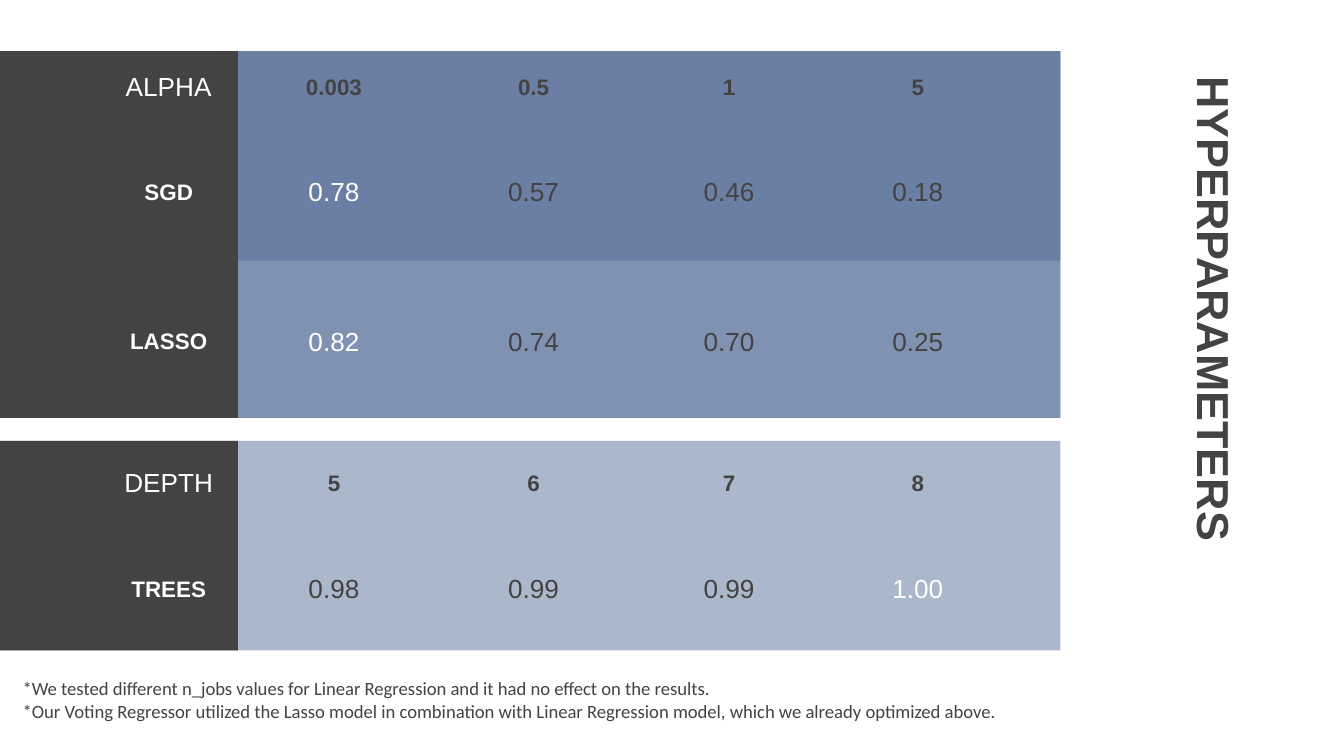
import dataclasses

import lxml.etree
import pptx
import pptx.dml.color
import pptx.enum.shapes
import pptx.enum.text
import pptx.oxml.ns
import pptx.util

SCALE = 4572  # EMU in one px, 200 px to the inch
PLAIN = "{2D5ABB26-0587-4C30-8999-92F81FD0307C}"  # table style: no fill, no grid


@dataclasses.dataclass(frozen=True)
class Theme:
    dark: str = "434343"
    light: str = "FFFFFF"
    blue: str = "556D96"
    alpha: int = 49
    font: str = "Arial"
    small: str = "Calibri"
    title: int = 24
    value: int = 14
    label: int = 12
    note: int = 10
    inset: int = 20


THEME = Theme()
COLS = (186, 306, 288, 294, 268)
HEAD, BODY = 92, 222
SIDE = 354


def px(*nums):
    return [pptx.util.Emu(num * SCALE) for num in nums]


def style(para, size, color, bold=False, font=THEME.font):
    for run in para.runs:
        run.font.size = pptx.util.Pt(size)
        run.font.color.rgb = pptx.dml.color.RGBColor.from_string(color)
        run.font.bold = bold
        run.font.name = font


def pad(item):
    """Give a text frame or a cell the same inset on all sides."""
    inset = px(THEME.inset)[0]
    item.margin_left = item.margin_right = inset
    item.margin_top = item.margin_bottom = inset


def block(slide, box, color, alpha=None):
    shape = slide.shapes.add_shape(pptx.enum.shapes.MSO_SHAPE.RECTANGLE, *px(*box))
    shape.shadow.inherit = False
    shape.line.fill.background()
    shape.fill.solid()
    shape.fill.fore_color.rgb = pptx.dml.color.RGBColor.from_string(color)
    if alpha is not None:
        tag = pptx.oxml.ns.qn("a:srgbClr")
        node = next(shape.fill._xPr.iter(tag))
        lxml.etree.SubElement(node, pptx.oxml.ns.qn("a:alpha"), val=str(alpha * 1000))


def panel(slide, box, bands):
    """Stack see-through bands of the given heights behind a dark side bar."""
    left, top, width, height = box
    for band in bands:
        block(slide, (left, top, width, band), THEME.blue, THEME.alpha)
    block(slide, (left, top, SIDE, height), THEME.dark)


def grid(slide, spot, rows, best):
    """Draw a clear table; the scores in column best stand out in white."""
    highs = [HEAD] + [BODY] * (len(rows) - 1)
    frame = slide.shapes.add_table(
        len(rows), len(COLS), *px(*spot, sum(COLS), sum(highs)))
    table = frame.table
    table.first_row = table.horz_banding = False
    table._tbl.tblPr.find(pptx.oxml.ns.qn("a:tableStyleId")).text = PLAIN
    for col, wide in zip(table.columns, px(*COLS)):
        col.width = wide
    for row, high in zip(table.rows, px(*highs)):
        row.height = high
    for i, row in enumerate(rows):
        for j, text in enumerate(row):
            cell = table.cell(i, j)
            cell.fill.background()
            cell.vertical_anchor = pptx.enum.text.MSO_ANCHOR.MIDDLE
            pad(cell)
            cell.text_frame.text = text
            para = cell.text_frame.paragraphs[0]
            para.alignment = pptx.enum.text.PP_ALIGN.CENTER
            bold = (i == 0) != (j == 0)
            white = j == 0 or (i > 0 and j == best)
            style(para, THEME.label if bold else THEME.value,
                  THEME.light if white else THEME.dark, bold)


def words(slide, box, text):
    shape = slide.shapes.add_textbox(*px(*box))
    frame = shape.text_frame
    frame.word_wrap = True
    frame.vertical_anchor = pptx.enum.text.MSO_ANCHOR.TOP
    pad(frame)
    frame.text = text
    return shape


def title(slide, box, text):
    shape = words(slide, box, text)
    shape.rotation = 90
    para = shape.text_frame.paragraphs[0]
    para.line_spacing = 1.1
    style(para, THEME.title, THEME.dark, True)


def notes(slide, box, lines):
    shape = words(slide, box, "\n".join(lines))
    for para in shape.text_frame.paragraphs:
        style(para, THEME.note, THEME.dark, font=THEME.small)


def main():
    deck = pptx.Presentation()
    deck.slide_width, deck.slide_height = px(2000, 1125)
    slide = deck.slides.add_slide(deck.slide_layouts[6])

    panel(slide, (0, 76, 1578, 546), (546, 546, 312))
    title(slide, (1446, 418, 754, 106), "HYPERPARAMETERS")
    grid(slide, (158, 84), [
        ("ALPHA", "0.003", "0.5", "1", "5"),
        ("SGD", "0.78", "0.57", "0.46", "0.18"),
        ("LASSO", "0.82", "0.74", "0.70", "0.25"),
    ], best=1)

    panel(slide, (0, 656, 1578, 312), (312,))
    grid(slide, (158, 674), [
        ("DEPTH", "5", "6", "7", "8"),
        ("TREES", "0.98", "0.99", "0.99", "1.00"),
    ], best=4)

    notes(slide, (14, 988, 1578, 174), (
        "*We tested different n_jobs values for Linear Regression"
        " and it had no effect on the results.",
        "*Our Voting Regressor utilized the Lasso model in combination with"
        " Linear Regression model, which we already optimized above.",
    ))
    deck.save("out.pptx")


if __name__ == "__main__":
    main()
